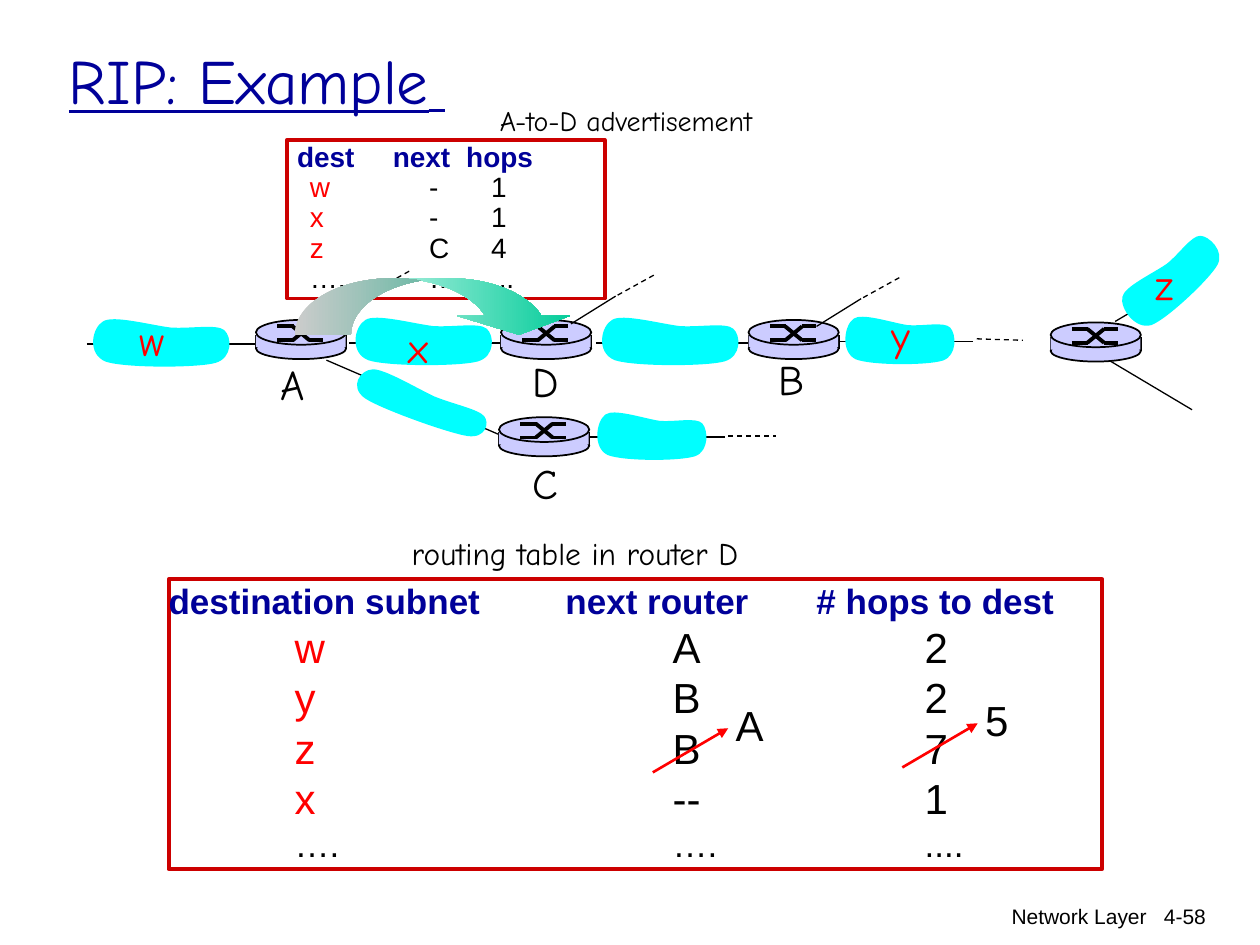
from lxml import etree
from pptx import Presentation
from pptx.dml.color import RGBColor
from pptx.enum import dml, shapes, text
from pptx.oxml.ns import qn
from pptx.util import Cm, Pt

COLORS = {
    "ink": "000000", "navy": "000099", "red": "FF0000", "frame": "CC0000",
    "subnet": "00FFFF", "router": "CCCCFF", "white": "FFFFFF", "green": "00CC99",
}
SANS, COMIC = "Arial", "Comic Neue"
CLOUD = [(66, 10), (50, 8), (21, 0), (13, 5), (4, 10), (0, 31), (15, 37),
         (30, 42), (86, 42), (101, 38), (115, 34), (114, 17), (108, 12),
         (102, 7), (82, 11), (66, 10)]


def rgb(name):
    return RGBColor.from_string(COLORS[name])


class Sketch:
    def __init__(self, slide):
        self.slide = slide
        self.shapes = slide.shapes

    def font(self, font, size, color="ink", face=COMIC, bold=False):
        font.name, font.size, font.bold = face, Pt(size), bold
        font.color.rgb = rgb(color)

    def label(self, words, left, top, width, height, size, color="ink",
              face=COMIC, wrap=False, align=text.PP_ALIGN.LEFT):
        frame = self.shapes.add_textbox(Cm(left), Cm(top), Cm(width), Cm(height)).text_frame
        frame.word_wrap = wrap
        paragraph = frame.paragraphs[0]
        paragraph.text = words
        paragraph.alignment = align
        self.font(paragraph.font, size, color, face)
        return frame

    def line(self, x1, y1, x2, y2, weight=0.75, color="ink", dashed=False, arrow=False):
        link = self.shapes.add_connector(
            shapes.MSO_CONNECTOR.STRAIGHT, Cm(x1), Cm(y1), Cm(x2), Cm(y2))
        link.line.color.rgb = rgb(color)
        link.line.width = Pt(weight)
        if dashed:
            link.line.dash_style = dml.MSO_LINE.DASH
        if arrow:
            etree.SubElement(link.line._get_or_add_ln(), qn("a:tailEnd"), type="triangle")
        etree.SubElement(link._element.spPr, qn("a:effectLst"))

    def block(self, kind, left, top, width, height, fill=None, edge=None, weight=1):
        block = self.shapes.add_shape(kind, Cm(left), Cm(top), Cm(width), Cm(height))
        block.shadow.inherit = False
        if fill:
            block.fill.solid()
            block.fill.fore_color.rgb = rgb(fill)
        else:
            block.fill.background()
        if edge:
            block.line.color.rgb = rgb(edge)
            block.line.width = Pt(weight)
        else:
            block.line.fill.background()
        return block

    def cloud(self, left, top, width=2.95, height=1.07, rotation=0):
        scale = (Cm(width) / 115, Cm(height) / 42)
        builder = self.shapes.build_freeform(*CLOUD[0], scale=scale)
        builder.add_line_segments(CLOUD[1:], close=True)
        cloud = builder.convert_to_shape(Cm(left), Cm(top))
        outline = cloud._element.find(".//" + qn("a:path"))
        segments = outline.findall(qn("a:lnTo"))
        for first, second, third in zip(segments[::3], segments[1::3], segments[2::3]):
            curve = etree.Element(qn("a:cubicBezTo"))
            first.addprevious(curve)
            for segment in (first, second, third):
                curve.append(segment[0])
                outline.remove(segment)
        cloud.rotation = rotation
        cloud.shadow.inherit = False
        cloud.fill.solid()
        cloud.fill.fore_color.rgb = rgb("subnet")
        cloud.line.fill.background()

    def router(self, left, top):
        oval, rect = shapes.MSO_SHAPE.OVAL, shapes.MSO_SHAPE.RECTANGLE
        self.block(oval, left, top + 0.36, 1.82, 0.43, "router", "ink")
        for x in (left, left + 1.82):
            self.line(x, top + 0.3, x, top + 0.58, 1)
        self.block(rect, left, top + 0.3, 1.81, 0.25, "router")
        self.block(oval, left, top, 1.82, 0.5, "router", "ink")
        upper, lower = top + 0.13, top + 0.41
        for start, end in ((upper, lower), (lower, upper)):
            self.line(left + 0.43, start, left + 0.76, start, 2.25)
            self.line(left + 0.74, start, left + 1.08, end, 2.25)
            self.line(left + 1.07, end, left + 1.35, end, 2.25)

    def listing(self, left, top, width, height, rows):
        box = self.block(shapes.MSO_SHAPE.RECTANGLE, left, top, width, height,
                         edge="frame", weight=2.25)
        frame = box.text_frame
        frame.word_wrap = True
        frame.vertical_anchor = text.MSO_ANCHOR.TOP
        frame.margin_left = frame.margin_right = frame.margin_top = frame.margin_bottom = 0
        for i, (runs, stops, size, spacing, bold) in enumerate(rows):
            paragraph = frame.add_paragraph() if i else frame.paragraphs[0]
            paragraph.alignment = text.PP_ALIGN.LEFT
            paragraph.line_spacing = spacing
            tabs = etree.SubElement(paragraph._p.get_or_add_pPr(), qn("a:tabLst"))
            for stop in stops:
                etree.SubElement(tabs, qn("a:tab"), pos=str(Cm(stop)), algn="l")
            self.font(paragraph.font, size, runs[0][1], SANS, bold)
            for words, color in runs:
                run = paragraph.add_run()
                run.text = words
                if len(runs) > 1:
                    run.font.color.rgb = rgb(color)


def row(key, *values):
    return [("\t" + key, "red"), ("".join("\t" + value for value in values), "ink")]


def draw_network(sketch):
    for x1, y1, x2, y2, weight in (
            (16.89, 6.88, 19.61, 6.88, 0.75), (7.04, 6.91, 10.46, 6.91, 1),
            (12.01, 6.91, 15.47, 6.91, 1), (1.75, 6.93, 5.21, 6.93, 1),
            (22.48, 6.48, 24.16, 5.49, 0.75), (22.35, 7.26, 24.03, 8.26, 0.75),
            (6.58, 7.26, 10.06, 8.76, 0.75), (11.89, 8.81, 14.61, 8.81, 0.75)):
        sketch.line(x1, y1, x2, y2, weight)
    for left, top in ((10.1, 6.45), (10.06, 8.41), (15.09, 6.45), (21.18, 6.5), (5.16, 6.45)):
        sketch.router(left, top)
    for place in ((7.04, 6.32), (1.75, 6.35), (12.01, 6.32), (16.94, 6.3, 2.36),
                  (11.94, 8.23, 2.36), (7.01, 7.72, 2.95, 0.79, 19.7),
                  (22.38, 5.11, 2.41, 1.07, 316.8)):
        sketch.cloud(*place)
    for name, left, top, width in (("w", 2.57, 6.22, 1.09), ("x", 7.98, 6.35, 1.02),
                                   ("y", 17.73, 6.12, 0.97), ("z", 23.04, 5.08, 0.97)):
        sketch.label(name, left, top, width, 1.27, 24, "red")
    for name, left, top, width in (("A", 5.41, 7.11, 1.12), ("C", 10.49, 9.09, 1.02),
                                   ("D", 10.49, 7.04, 1.12), ("B", 15.44, 7.01, 1.04)):
        sketch.label(name, left, top, width, 1.27, 24)
    sketch.line(19.69, 6.83, 20.62, 6.86, dashed=True)
    sketch.line(14.68, 8.79, 15.65, 8.79, dashed=True)
    for x, y in ((6.58, 6.45), (11.51, 6.53), (16.46, 6.58)):
        sketch.line(x, y, x + 0.9, y - 0.56)
        sketch.line(x + 0.94, y - 0.58, x + 1.7, y - 1, dashed=True)


def draw_routing_table(sketch):
    stops = (2.54, 10.16, 15.24)
    header = [("destination subnet\tnext router\t# hops to dest", "navy")]
    routes = (("w", "A", "2"), ("y", "B", "2"), ("z", "B", "7"), ("x", "--", "1"))
    rows = [(header, (8, 13.06), 20, 1.0, True)]
    rows += [(row(*route), stops, 24, 1.0, False) for route in routes]
    rows.append(([("\t….\t….\t....", "ink")], stops, 20, 1.0, False))
    sketch.listing(3.4, 11.68, 18.82, 5.84, rows)
    sketch.label("routing table in router D", 8.05, 10.64, 7.8, 1.02, 18)
    for update, x, y in (("A", 13.16, 15.57), ("5", 18.19, 15.47)):
        sketch.line(x, y, x + 1.52, y - 0.89, 1.5, "red", arrow=True)
        sketch.label(update, x + 1.42, y - 1.6, 1.03, 1.27, 24, face=SANS)


def draw_advertisement(sketch):
    stops = (0.46, 2.86, 4.11)
    rows = [([("\tdest\tnext\thops", "navy")], (0.2, 2.13, 3.61), 16, 1.0, True)]
    rows += [(row(*route), stops, 16, 0.9, False)
             for route in (("w", "-", "1"), ("x", "-", "1"), ("z", "C", "4"))]
    rows.append(([("\t….\t…\t...", "ink")], stops, 16, 0.9, False))
    sketch.listing(5.79, 2.82, 6.4, 3.2, rows)
    sketch.label("A-to-D advertisement", 9.83, 1.96, 6.32, 0.94, 16, wrap=True)
    sweep = sketch.block(shapes.MSO_SHAPE.CURVED_DOWN_ARROW, 5.94, 5.61, 5.66, 1.14)
    for i, value in enumerate((0.996, 1.992, 0.333)):
        sweep.adjustments[i] = value
    sweep.fill.gradient()
    sweep.fill.gradient_angle = 0
    for stop, position, color in zip(sweep.fill.gradient_stops, (0, 1), ("white", "green")):
        stop.position = position
        stop.color.rgb = rgb(color)


def main():
    deck = Presentation()
    deck.slide_width, deck.slide_height = Cm(25.4), Cm(19.05)
    sketch = Sketch(deck.slides.add_slide(deck.slide_layouts[6]))
    right = text.PP_ALIGN.RIGHT
    sketch.label("Network Layer", 15.32, 18.08, 8.05, 1.04, 12, face=SANS, wrap=True, align=right)
    sketch.label("4-58", 22.68, 18.08, 1.88, 0.97, 12, face=SANS, wrap=True, align=right)
    title = sketch.label("RIP: Example", 1.14, 0, 21.59, 3.18, 36, "navy", wrap=True)
    title.vertical_anchor = text.MSO_ANCHOR.MIDDLE
    heading = title.paragraphs[0]
    heading.font.underline = True
    tail = heading.add_run()
    tail.text = " "
    tail.font.size = Pt(28)
    draw_routing_table(sketch)
    draw_network(sketch)
    draw_advertisement(sketch)
    deck.save("out.pptx")


if __name__ == "__main__":
    main()
